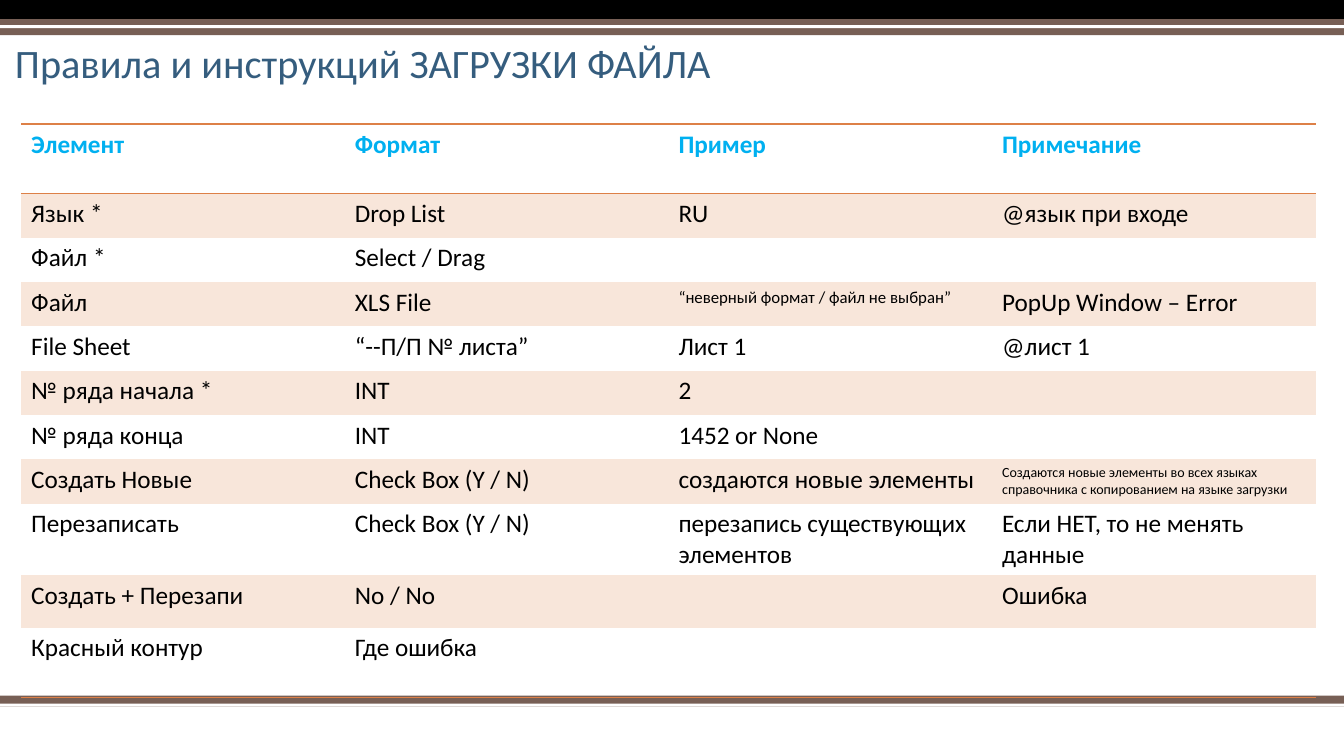
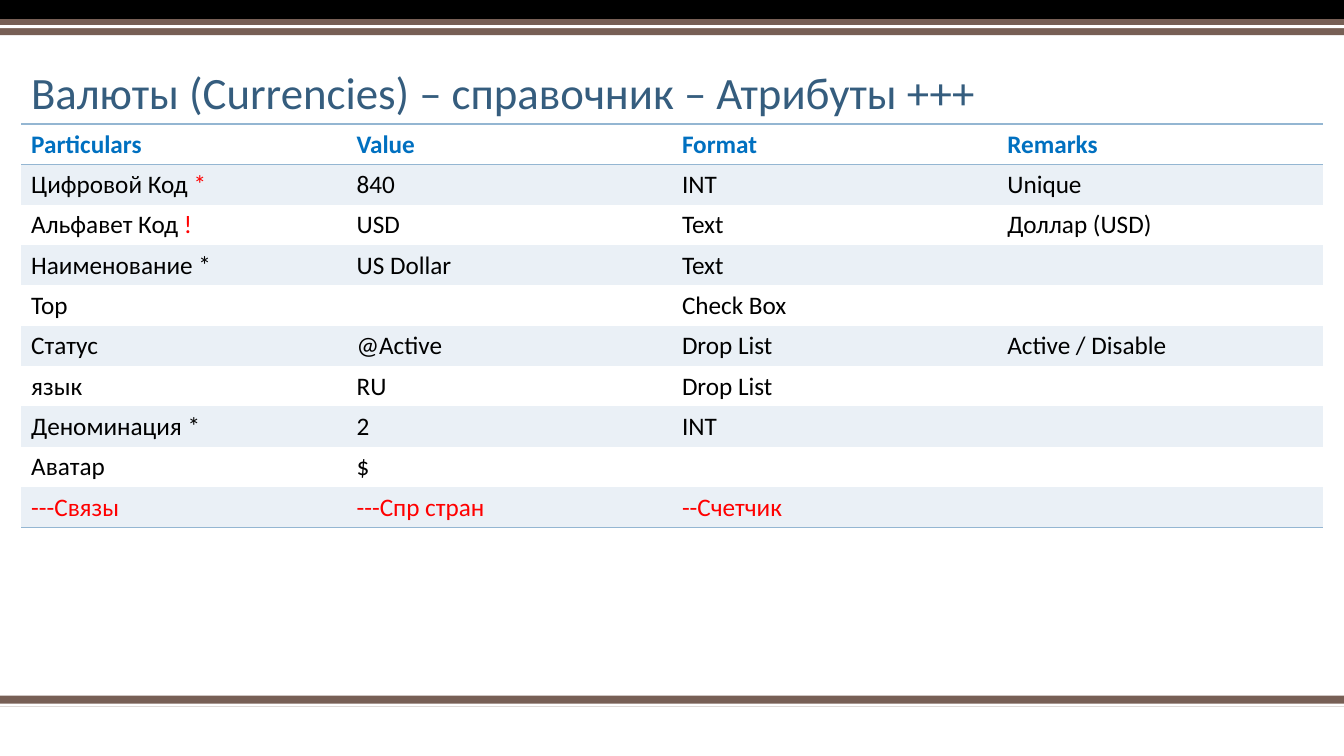
from lxml.etree import SubElement
from pptx import Presentation
from pptx.dml.color import RGBColor
from pptx.enum.shapes import MSO_SHAPE
from pptx.enum.text import MSO_ANCHOR
from pptx.oxml.ns import qn
from pptx.util import Inches, Pt

W, H = 13.33, 7.5
FONT = "Calibri"
NO_GRID_STYLE = "{2D5ABB26-0587-4C30-8999-92F81FD0307C}"
COLORS = {
    "black": "000000", "white": "FFFFFF", "brown": "775F55",
    "title": "355D7E", "red": "FF0000",
    "cyan": "00B0F0", "blue": "0070C0",
    "orange_line": "DD8047", "orange_band": "F8E6DA",
    "sky_line": "94B6D2", "sky_band": "EAF0F6",
}
BANDS = [
    (6.9, 0.11, "brown"), (6.98, 0.03, "white"),
    (0, 0.19, "black"), (0.19, 0.16, "brown"), (0.25, 0.03, "white"),
]

LOADING_ROWS = [
    ("Элемент", "Формат", "Пример", "Примечание"),
    ("Язык *", "Drop List", "RU", "@язык при входе"),
    ("Файл *", "Select / Drag", "", ""),
    ("Файл", "XLS File", "“неверный формат / файл не выбран”", "PopUp Window – Error"),
    ("File Sheet", "“--П/П № листа”", "Лист 1", "@лист 1"),
    ("№ ряда начала *", "INT", "2", ""),
    ("№ ряда конца", "INT", "1452 or None", ""),
    ("Создать Новые", "Check Box (Y / N)", "создаются новые элементы",
     "Создаются новые элементы во всех языках справочника с копированием на языке загрузки"),
    ("Перезаписать", "Check Box (Y / N)", "перезапись существующих элементов",
     "Если НЕТ, то не менять данные"),
    ("Создать + Перезапи", "No / No", "", "Ошибка"),
    ("Красный контур", "Где ошибка", "", ""),
]
LOADING_HEIGHTS = [0.69] + [0.44] * 7 + [0.71, 0.52, 0.69]
LOADING_SIZES = {(3, 2): 12, (7, 3): 10}

RED_MARK = "|"
CURRENCY_ROWS = [
    ("Particulars", "Value", "Format", "Remarks"),
    ("Цифровой Код |*", "840", "INT", "Unique"),
    ("Альфавет Код |!", "USD", "Text", "Доллар (USD)"),
    ("Наименование *", "US Dollar", "Text", ""),
    ("Тор", "", "Check Box", ""),
    ("Статус", "@Active", "Drop List", "Active / Disable"),
    ("язык", "RU", "Drop List", ""),
    ("Деноминация *", "2", "INT", ""),
    ("Аватар", "$", "", ""),
    ("|---Связы", "|---Спр стран", "|--Счетчик", ""),
]


def rgb(name):
    return RGBColor.from_string(COLORS[name])


def style_font(font, size, color, bold=False):
    font.name = FONT
    font.size = Pt(size)
    font.bold = bold
    font.color.rgb = rgb(color)


def add_bands(slide):
    for top, height, color in BANDS:
        sp = slide.shapes.add_shape(
            MSO_SHAPE.RECTANGLE, 0, Inches(top), Inches(W), Inches(height))
        sp.shadow.inherit = False
        sp.fill.solid()
        sp.fill.fore_color.rgb = rgb(color)
        sp.line.fill.background()


def add_title(slide, box, text, size):
    tf = slide.shapes.add_textbox(*map(Inches, box)).text_frame
    tf.word_wrap = True
    tf.vertical_anchor = MSO_ANCHOR.BOTTOM
    p = tf.paragraphs[0]
    p.line_spacing = 0.9
    style_font(p.font, size, "title")
    p.add_run().text = text


def add_border(cell, side, color):
    ln = SubElement(cell._tc.get_or_add_tcPr(), qn(f"a:{side}"), w=str(Pt(1)))
    fill = SubElement(ln, qn("a:solidFill"))
    SubElement(fill, qn("a:srgbClr"), val=COLORS[color])


def fill_cell(cell, text, size, color, bold):
    p = cell.text_frame.paragraphs[0]
    style_font(p.font, size, color, bold)
    plain, _, marked = text.partition(RED_MARK)
    if plain:
        p.add_run().text = plain
    if marked:
        r = p.add_run()
        r.text = marked
        r.font.color.rgb = rgb("red")


def add_ruled_table(slide, box, rows, heights, header, theme, sizes):
    left, top, width = box
    cols = len(rows[0])
    frame = slide.shapes.add_table(
        len(rows), cols, Inches(left), Inches(top), Inches(width), Inches(sum(heights)))
    table = frame.table
    table.first_row = table.horz_banding = False
    table._tbl.tblPr.find(qn("a:tableStyleId")).text = NO_GRID_STYLE
    for column in table.columns:
        column.width = Inches(width / cols)
    for i, (values, height) in enumerate(zip(rows, heights)):
        table.rows[i].height = Inches(height)
        is_header = i == 0
        for j, text in enumerate(values):
            cell = table.cell(i, j)
            if is_header:
                add_border(cell, "lnT", f"{theme}_line")
            if is_header or i == len(rows) - 1:
                add_border(cell, "lnB", f"{theme}_line")
            if i % 2:
                cell.fill.solid()
                cell.fill.fore_color.rgb = rgb(f"{theme}_band")
            else:
                cell.fill.background()
            fill_cell(cell, text, sizes.get((i, j), 18),
                      header if is_header else "black", is_header)


def add_table_slide(prs, title_box, title, title_size, table_box, rows, heights,
                    header, theme, sizes):
    slide = prs.slides.add_slide(prs.slide_layouts[6])
    add_bands(slide)
    add_title(slide, title_box, title, title_size)
    add_ruled_table(slide, table_box, rows, heights, header, theme, sizes)


def main():
    prs = Presentation()
    prs.slide_width, prs.slide_height = Inches(W), Inches(H)
    add_table_slide(
        prs, (0.05, 0.36, 11.61, 0.55), "Правила и инструкций ЗАГРУЗКИ ФАЙЛА", 28.8,
        (0.21, 1.23, 12.84), LOADING_ROWS, LOADING_HEIGHTS, "cyan", "orange", LOADING_SIZES)
    add_table_slide(
        prs, (0.21, 0.44, 11.46, 0.79), "Валюты (Currencies) – справочник – Атрибуты +++", 32,
        (0.21, 1.23, 12.91), CURRENCY_ROWS, [0.4] * len(CURRENCY_ROWS), "blue", "sky", {})
    prs.save("out.pptx")


if __name__ == "__main__":
    main()
